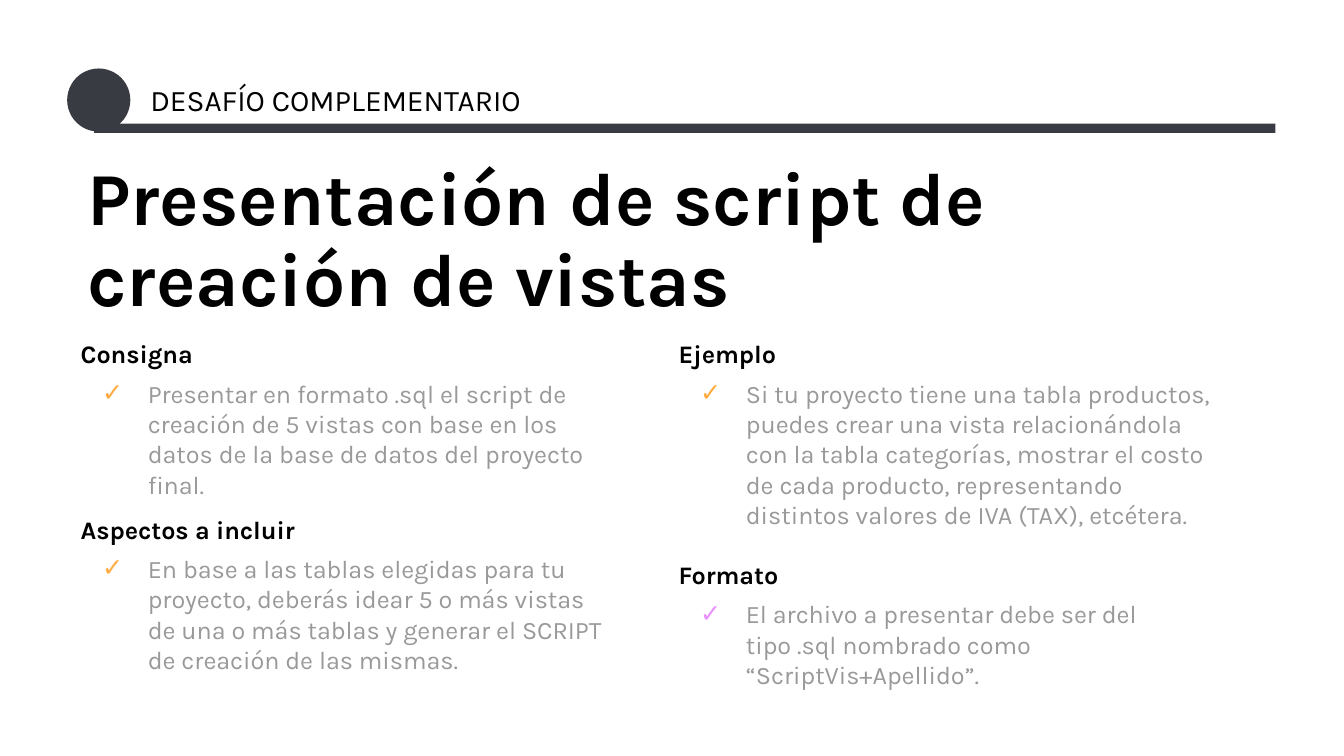
from lxml import etree
from pptx import Presentation
from pptx import util as u
from pptx.dml.color import RGBColor
from pptx.enum import shapes, text
from pptx.oxml.ns import qn

BLACK = RGBColor(0x00, 0x00, 0x00)
GREY = RGBColor(0x99, 0x99, 0x99)
SLATE = RGBColor(0x39, 0x3B, 0x43)
ORANGE = RGBColor(0xFF, 0xAB, 0x40)
VIOLET = RGBColor(0xEA, 0x90, 0xFF)

CONSIGNA = [
    ("Consigna", ORANGE, 0,
     "Presentar en formato .sql el script de creación de 5 vistas con base en los "
     "datos de la base de datos del proyecto final."),
    ("Aspectos a incluir", ORANGE, 8,
     "En base a las tablas elegidas para tu proyecto, deberás idear 5 o más vistas "
     "de una o más tablas y generar el SCRIPT de creación de las mismas."),
]
EJEMPLO = [
    ("Ejemplo", ORANGE, 0,
     "Si tu proyecto tiene una tabla productos, puedes crear una vista relacionándola "
     "con la tabla categorías, mostrar el costo de cada producto, representando "
     "distintos valores de IVA (TAX), etcétera."),
    ("Formato", VIOLET, 16,
     "El archivo a presentar debe ser del tipo .sql nombrado como "
     "“ScriptVis+Apellido”."),
]


def set_bullet(para, color):
    """Hang a check mark in the given colour, or switch the bullet off for None."""
    props = para._p.get_or_add_pPr()
    props.set("marL", str(u.Inches(0.5 if color else 0)))
    props.set("indent", str(u.Inches(-0.34 if color else 0)))
    if color is None:
        etree.SubElement(props, qn("a:buNone"))
        return
    fill = etree.SubElement(props, qn("a:buClr"))
    etree.SubElement(fill, qn("a:srgbClr"), val=str(color))
    etree.SubElement(props, qn("a:buFont"), typeface="Karla")
    etree.SubElement(props, qn("a:buChar"), char="✓")


def write(frame, words, size=13.5, color=BLACK, bold=False, bullet=None,
          before=0, spacing=1.0):
    """Fill the first paragraph of the frame if it is empty, else append one."""
    first = frame.paragraphs[0]
    para = frame.add_paragraph() if first.runs else first
    set_bullet(para, bullet)
    para.alignment = text.PP_ALIGN.LEFT
    para.space_before = u.Pt(before)
    para.space_after = u.Pt(0)
    para.line_spacing = spacing
    span = para.add_run()
    span.text = words
    span.font.name = "Karla"
    span.font.size = u.Pt(size)
    span.font.bold = bold
    span.font.color.rgb = color


class SlideBuilder:
    def __init__(self, slide):
        self.slide = slide

    def prepare(self, box):
        frame = box.text_frame
        frame.word_wrap = True
        frame.auto_size = text.MSO_AUTO_SIZE.NONE
        frame.vertical_anchor = text.MSO_ANCHOR.TOP
        frame.margin_left = frame.margin_right = u.Inches(0.1)
        frame.margin_top = frame.margin_bottom = u.Inches(0.1)
        return frame

    def placeholder(self, index, left, top, width, height):
        box = self.slide.placeholders[index]
        box.left, box.top = u.Inches(left), u.Inches(top)
        box.width, box.height = u.Inches(width), u.Inches(height)
        return self.prepare(box)

    def title(self, words, *place):
        write(self.placeholder(0, *place), words, size=40, bold=True, spacing=0.9)

    def column(self, index, sections, *place):
        frame = self.placeholder(index, *place)
        for heading, check_color, before, body in sections:
            write(frame, heading, bold=True, before=before)
            write(frame, body, color=GREY, bullet=check_color, before=5)

    def label(self, words, *place):
        box = self.slide.shapes.add_textbox(*map(u.Inches, place))
        write(self.prepare(box), words, size=16)

    def shape(self, kind, *place):
        shape = self.slide.shapes.add_shape(kind, *map(u.Inches, place))
        shape.shadow.inherit = False
        shape.fill.solid()
        shape.fill.fore_color.rgb = SLATE
        shape.line.fill.background()


def main():
    deck = Presentation()
    deck.slide_width = u.Inches(10)
    deck.slide_height = deck.slide_width * 9 // 16
    two_content = deck.slide_layouts[3]
    page = SlideBuilder(deck.slides.add_slide(two_content))

    page.shape(shapes.MSO_SHAPE.OVAL, 0.5, 0.51, 0.47, 0.47)
    page.shape(shapes.MSO_SHAPE.RECTANGLE, 0.7, 0.92, 8.79, 0.07)
    page.label("DESAFÍO COMPLEMENTARIO", 1.02, 0.51, 3.15, 0.47)
    page.title("Presentación de script de creación de vistas", 0.55, 1.1, 8.79, 1.41)
    page.column(1, CONSIGNA, 0.5, 2.42, 4.19, 2.72)
    page.column(2, EJEMPLO, 4.95, 2.42, 4.19, 3.07)
    deck.save("out.pptx")


if __name__ == "__main__":
    main()
